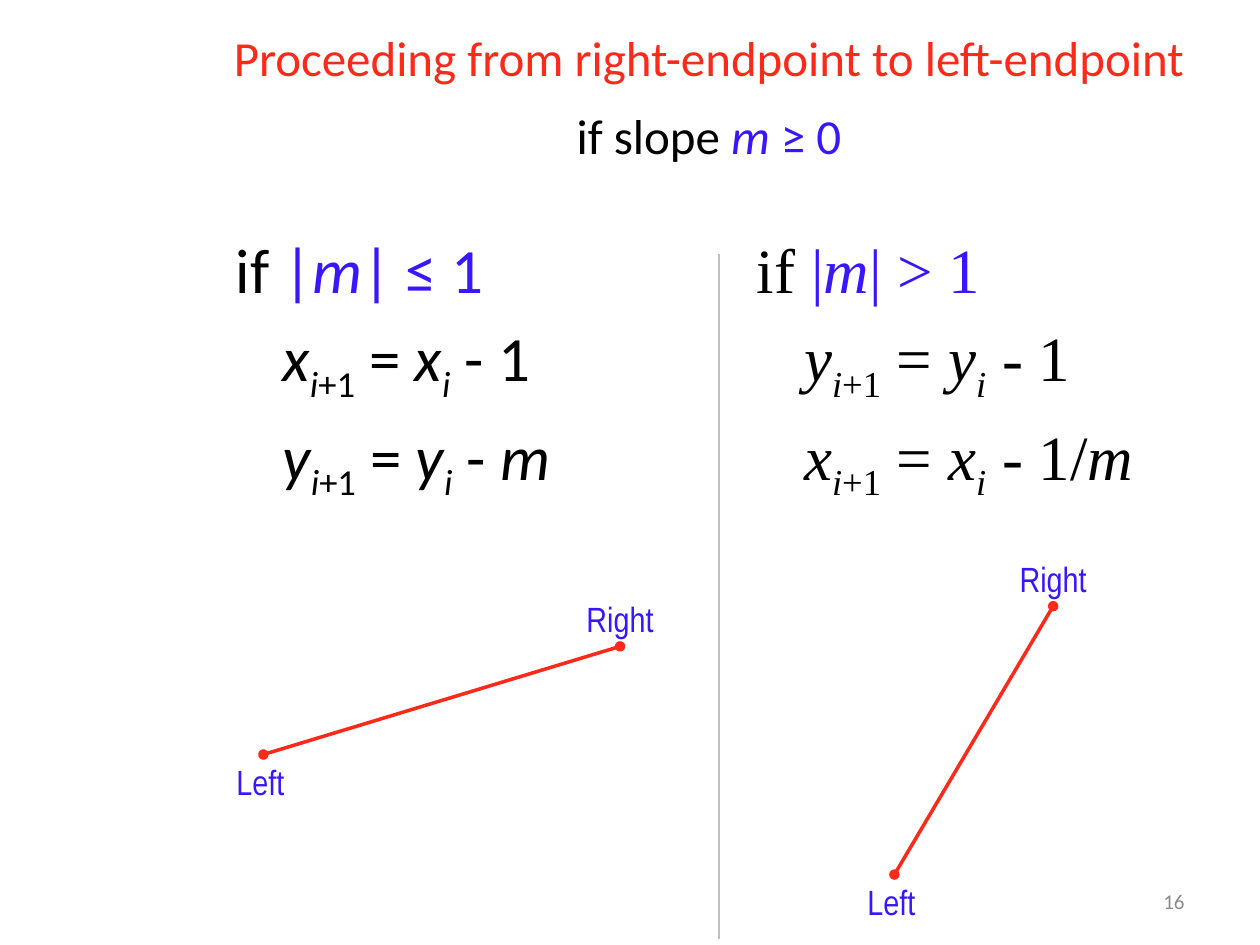
"""Build the slide on stepping from the right endpoint to the left one."""
import pptx
import pptx.util
import pptx.dml.color
import pptx.enum.shapes
import pptx.enum.text
from pptx.oxml.ns import qn
from lxml import etree

Cm, Pt = pptx.util.Cm, pptx.util.Pt
Align = pptx.enum.text.PP_ALIGN
Anchor = pptx.enum.text.MSO_ANCHOR

COLORS = {"red": "FD2919", "blue": "3817FF", "black": "000000",
          "gray": "8C8C8C", "rule": "C0C0C0"}


def step(var, tail):
    return [(var, "i"), ("i", "is"), ("+1", "s"), (" = ", ""),
            (var, "i"), ("i", "is"), *tail]


def test(bound):
    return [("if ", ""), ("|", "b"), ("m", "bi"), ("| " + bound, "b")]


TITLE = [
    ([("Proceeding from right-endpoint to left-endpoint", "")], "red"),
    ([("if slope ", ""), ("m ", "bi"), ("≥ 0", "b")], "black"),
]
CASES = [
    {"box": (4.5, 4.52, 9.8, 6.6), "font": "Calibri",
     "lines": [test("≤ 1"), step("x", [(" - 1", "")]),
               step("y", [(" - ", ""), ("m", "i")])],
     "left": (5.31, 15.21), "right": (12.5, 13.03)},
    {"box": (15.01, 4.52, 9.3, 6.8), "font": "Times New Roman",
     "lines": [test("> 1"), step("y", [(" - 1", "")]),
               step("x", [(" - 1/", ""), ("m", "i")])],
     "left": (18.03, 17.63), "right": (21.23, 12.22)},
]
TAGS = [("Left", "left", 1.55, -0.06, 0), ("Right", "right", 2.03, 0, -1.1)]


def tint(name):
    return pptx.dml.color.RGBColor.from_string(COLORS[name])


def add_box(slide, box, wrap=True, anchor=Anchor.TOP):
    frame = slide.shapes.add_textbox(*map(Cm, box)).text_frame
    frame.word_wrap = wrap
    frame.vertical_anchor = anchor
    return frame


def add_line(frame, first, runs, face, size, color, align=Align.LEFT, gap=0, dent=0):
    para = frame.paragraphs[0] if first else frame.add_paragraph()
    para.alignment = align
    if not first:
        para.space_before = Pt(gap)
    if dent:
        para._p.get_or_add_pPr().set("marL", str(Cm(dent)))
    para.font.name, para.font.size = face, Pt(size)
    para.font.color.rgb = tint(color)
    for text, style in runs:
        run = para.add_run()
        run.text = text
        if "i" in style:
            run.font.italic = True
        if "b" in style:
            run.font.color.rgb = tint("blue")
        if "s" in style:
            run.font._element.set("baseline", "-25000")


def add_rule(slide, start, end, color, width, dots=False):
    rule = slide.shapes.add_connector(
        pptx.enum.shapes.MSO_CONNECTOR.STRAIGHT, *map(Cm, start + end))
    rule.line.color.rgb = tint(color)
    rule.line.width = Pt(width)
    if dots:
        line = rule.line._get_or_add_ln()
        for tag in ("a:headEnd", "a:tailEnd"):
            etree.SubElement(line, qn(tag), type="oval")
    etree.SubElement(rule._element.spPr, qn("a:effectLst"))


def add_case(slide, case):
    frame = add_box(slide, case["box"])
    for i, runs in enumerate(case["lines"]):
        add_line(frame, i == 0, runs, case["font"], 36, "black",
                 gap=7.2, dent=0.95 if i else 0)
    add_rule(slide, case["left"], case["right"], "red", 2, dots=True)
    for text, end, width, dx, dy in TAGS:
        x, y = case[end]
        frame = add_box(slide, (x + dx - width / 2, y + dy, width, 1.1), wrap=False)
        add_line(frame, True, [(text, "")], "Arial Narrow", 20, "blue", Align.CENTER)


def main():
    deck = pptx.Presentation()
    deck.slide_width, deck.slide_height = Cm(25.4), Cm(19.05)
    slide = deck.slides.add_slide(deck.slide_layouts[6])
    frame = add_box(slide, (3.81, 0.33, 20.96, 3.2), anchor=Anchor.MIDDLE)
    for i, (runs, color) in enumerate(TITLE):
        add_line(frame, i == 0, runs, "Calibri", 28, color, Align.CENTER, gap=11)
    for case in CASES:
        add_case(slide, case)
    add_rule(slide, (14.5, 5.13), (14.5, 18.92), "rule", 1)
    frame = add_box(slide, (18.21, 17.65, 5.92, 1.02), anchor=Anchor.MIDDLE)
    add_line(frame, True, [("16", "")], "Calibri", 12, "gray", Align.RIGHT)
    deck.save("out.pptx")


if __name__ == "__main__":
    main()
